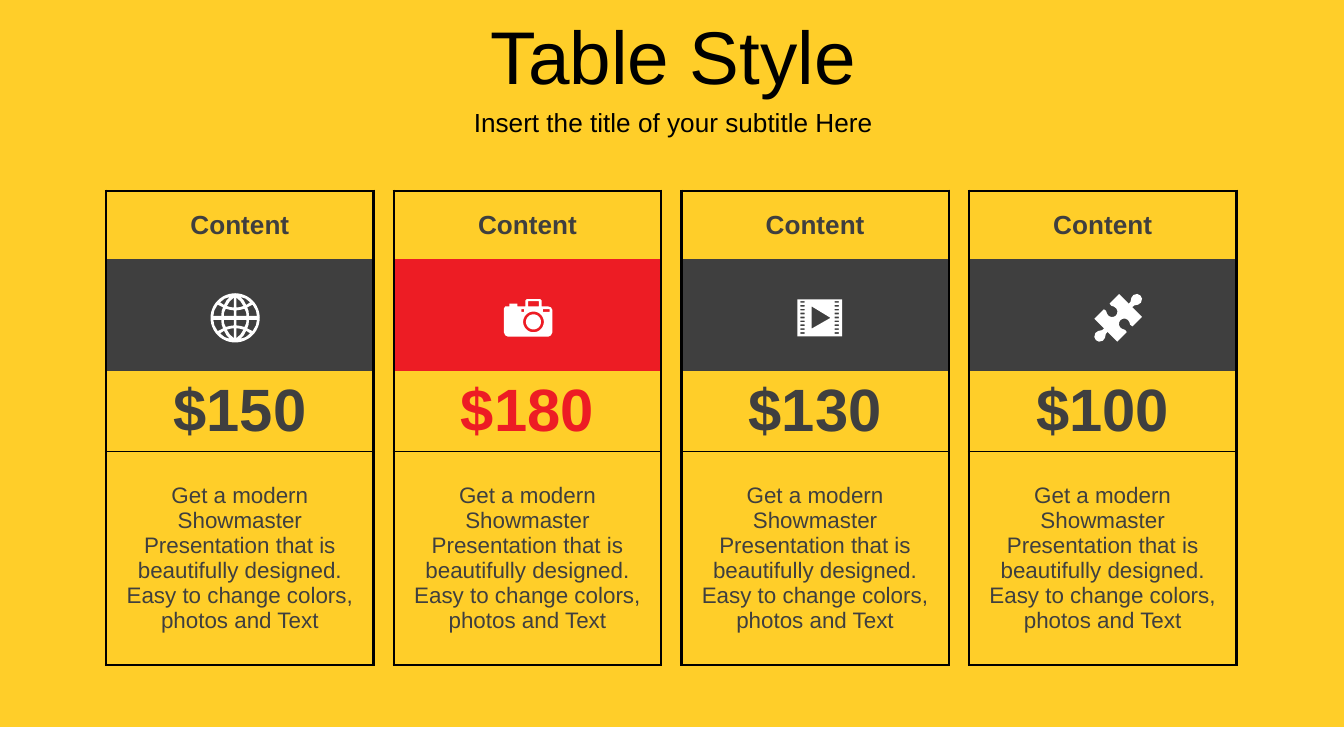
"""Build a pricing slide with four bordered tables and icons."""
from math import cos, pi, sin

from lxml.etree import SubElement
from pptx import Presentation
from pptx.dml.color import RGBColor
from pptx.enum.shapes import MSO_SHAPE
from pptx.enum.text import MSO_ANCHOR, PP_ALIGN
from pptx.oxml.ns import qn
from pptx.util import Inches, Pt

C = {"yellow": "FFCE29", "dark": "3F3F3F", "red": "ED1C24",
     "black": "000000", "white": "FFFFFF"}
FONT = "Arial"
NO_STYLE = "{2D5ABB26-0587-4C30-8999-92F81FD0307C}"
TITLE = "Table Style"
SUBTITLE = "Insert the title of your subtitle Here"
HEADING = "Content"
BODY = ("Get a modern Showmaster Presentation that is beautifully designed. "
        "Easy to change colors, photos and Text")
PLANS = [("$150", "dark", "globe"), ("$180", "red", "camera"),
         ("$130", "dark", "film"), ("$100", "dark", "puzzle")]
LEFT, TOP, PITCH, WIDTH = 0.79, 1.42, 2.14, 1.99
ROWS = [0.51, 0.83, 0.6, 1.59]
EDGES = [{"T": 1.5}, {}, {"B": 0.75}, {"T": 0.75, "B": 1.5}]
CENTERS = {"globe": (1.75, 2.365), "camera": (3.93, 2.365),
           "film": (6.1, 2.365), "puzzle": (8.32, 2.365)}
TURNS = {"globe": 270, "puzzle": 45}

GLOBE_QUARTER = [
    [(1.5, 1), (1.5, 8.5), (4, 8.2), (6.8, 7), (6, 4), (5.6, 1)],
    [(1.5, 10.3), (1.5, 16.2), (5.5, 15.5), (9.8, 13), (7.8, 9), (5, 10)],
    [(7.7, 1), (15, 1), (12.3, 4), (8.8, 6.2), (8, 3.5)],
    [(15.6, 4), (12.8, 6.5), (9.6, 8.2), (11.5, 11.2), (14.2, 8)]]
PUZZLE_QUARTER = [(0, -23.5), (2.5, -22.6), (4, -20), (3.6, -17.5), (2, -15),
                  (1.8, -13), (12, -13), (12, -3), (10, -2.7), (8, -3.7),
                  (6, -4), (4, -3.2), (2.8, -1.7), (2.4, 0)]
CAMERA_BODY = [(-18, -7), (-17, -8.5), (-14, -8.5), (-14, -10.5), (-8, -10.5),
               (-8, -8.5), (-2, -8.5), (-2, -13), (-1, -14), (9, -14),
               (10, -13), (10, -8.5), (15, -8.5), (17, -7.8), (18, -6),
               (18, 11), (17, 13), (15, 14), (-15, 14), (-17, 13), (-18, 11)]


def box(x, y, w, h):
    return [(x, y), (x + w, y), (x + w, y + h), (x, y + h)]


def circle(x, y, radius, n=48):
    return [(x + radius * cos(2 * pi * i / n), y + radius * sin(2 * pi * i / n))
            for i in range(n)]


def flip(points, fx, fy):
    return [(x * fx, y * fy) for x, y in points]


def icon_contours():
    right = PUZZLE_QUARTER + flip(PUZZLE_QUARTER[-2::-1], 1, -1)
    return {
        "globe": [circle(0, 0, 18.3)] + [
            flip(cell, fx, fy) for cell in GLOBE_QUARTER
            for fx in (1, -1) for fy in (1, -1)],
        "camera": [CAMERA_BODY, box(0, -12.5, 8, 4), box(-5, -6.5, 2, 2),
                   box(11, -6.5, 5, 2), circle(4, 3, 7.7), circle(4, 3, 5.6)],
        "film": [box(-16.7, -13.8, 33.4, 27.6), [(-6, -8.5), (-6, 8), (8, 0)]] + [
            box(x, -12.5 + 2.9 * i, 3.2, 1.2) for x in (-14.5, 11) for i in range(9)],
        "puzzle": [right + flip(right[-2:0:-1], -1, 1)]}


def paint(shape, color):
    shape.shadow.inherit = False
    shape.fill.solid()
    shape.fill.fore_color.rgb = RGBColor.from_string(C[color])
    shape.line.fill.background()


def write(tf, text, size, color, bold=False):
    tf.text = text
    tf.word_wrap = True
    tf.vertical_anchor = MSO_ANCHOR.MIDDLE
    p = tf.paragraphs[0]
    p.alignment = PP_ALIGN.CENTER
    font = p.runs[0].font
    font.name, font.size, font.bold = FONT, Pt(size), bold
    font.color.rgb = RGBColor.from_string(C[color])


def style_cell(cell, edges, color):
    tcPr = cell._tc.get_or_add_tcPr()
    for side in "LRTB":
        width = edges.get(side, 0)
        ln = SubElement(tcPr, qn(f"a:ln{side}"), w=str(Pt(width)))
        if width:
            fill = SubElement(ln, qn("a:solidFill"))
            SubElement(fill, qn("a:srgbClr"), val=C["black"])
        else:
            SubElement(ln, qn("a:noFill"))
    cell.fill.solid()
    cell.fill.fore_color.rgb = RGBColor.from_string(C[color])


def add_plan(s, left, price, accent):
    table = s.shapes.add_table(len(ROWS), 1, Inches(left), Inches(TOP),
                               Inches(WIDTH), Inches(sum(ROWS))).table
    table.first_row = table.horz_banding = False
    table._tbl.tblPr.find(qn("a:tableStyleId")).text = NO_STYLE
    texts = [(HEADING, 14, "dark", True), None,
             (price, 32, accent, True), (BODY, 12, "dark", False)]
    for i, (height, edges, text) in enumerate(zip(ROWS, EDGES, texts)):
        table.rows[i].height = Inches(height)
        cell = table.cell(i, 0)
        style_cell(cell, {"L": 1.5, "R": 1.5, **edges}, "yellow" if text else accent)
        cell.vertical_anchor = MSO_ANCHOR.MIDDLE
        if text:
            write(cell.text_frame, *text)


def add_icon(s, name, contours):
    x, y = CENTERS[name]
    scaled = [flip(points, 100, 100) for points in contours]
    builder = s.shapes.build_freeform(*scaled[0][0], scale=Inches(1) / 10000)
    builder.add_line_segments(scaled[0][1:], close=True)
    for points in scaled[1:]:
        builder.move_to(*points[0])
        builder.add_line_segments(points[1:], close=True)
    sp = builder.convert_to_shape(Inches(x), Inches(y))
    sp.rotation = TURNS.get(name, 0)
    paint(sp, "white")


def place(sp, x, y, w, h):
    sp.left, sp.top, sp.width, sp.height = map(Inches, (x, y, w, h))


def main():
    prs = Presentation()
    prs.slide_width = Inches(10)
    prs.slide_height = prs.slide_width * 9 // 16
    s = prs.slides.add_slide(prs.slide_layouts[5])
    s.background.fill.solid()
    s.background.fill.fore_color.rgb = RGBColor.from_string(C["yellow"])
    strip = s.shapes.add_shape(MSO_SHAPE.RECTANGLE, 0, Inches(5.41),
                               Inches(10), Inches(0.24))
    paint(strip, "white")
    contours = icon_contours()
    for i, (price, accent, icon) in enumerate(PLANS):
        add_plan(s, LEFT + i * PITCH, price, accent)
        add_icon(s, icon, contours[icon])
    title = s.shapes.title
    place(title, 0.02, 0.09, 9.98, 0.64)
    write(title.text_frame, TITLE, 40, "black")
    subtitle = s.shapes.add_textbox(0, 0, 0, 0)
    place(subtitle, 0, 0.74, 10.02, 0.34)
    write(subtitle.text_frame, SUBTITLE, 14, "black")
    prs.save("out.pptx")


if __name__ == "__main__":
    main()
